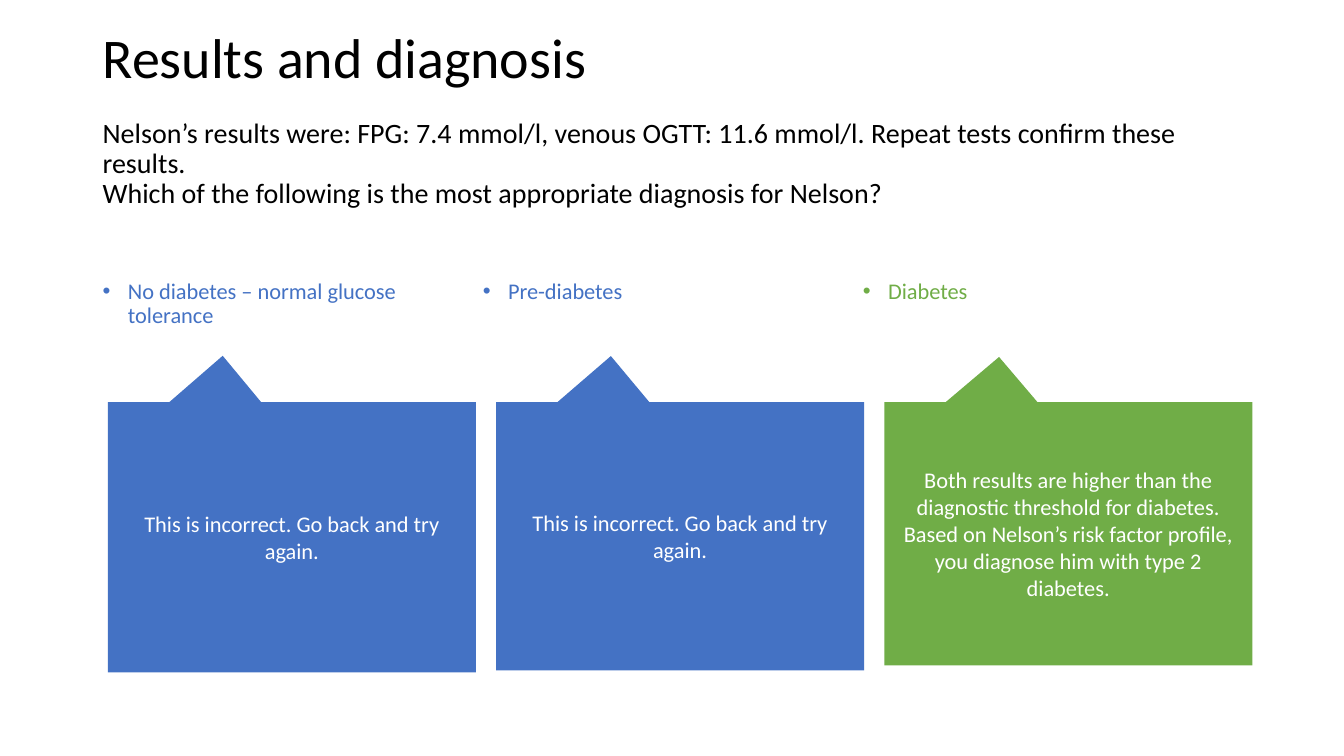
"""Build the quiz slide on Nelson's results and diagnosis."""
from pptx import Presentation
from pptx.dml.color import RGBColor
from pptx.enum.shapes import MSO_SHAPE as Shape
from pptx.enum.text import MSO_ANCHOR as Anchor, PP_ALIGN as Align
from pptx.oxml.ns import qn
from pptx.util import Inches, Pt
from lxml import etree

BLACK, WHITE, BLUE, GREEN = "000000", "FFFFFF", "4472C4", "70AD47"


def rgb(value):
    return RGBColor.from_string(value)


def write(shape, text, size, color, spacing=None, align=Align.LEFT):
    frame = shape.text_frame
    frame.word_wrap = True
    frame.text = text
    for paragraph in frame.paragraphs:
        paragraph.alignment = align
        paragraph.line_spacing = spacing
        for run in paragraph.runs:
            run.font.name = "Calibri"
            run.font.size = Pt(size)
            run.font.color.rgb = rgb(color)
    return frame


deck = Presentation()
deck.slide_width, deck.slide_height = Inches(13.33), Inches(7.5)
slide = deck.slides.add_slide(deck.slide_layouts[6])

title = slide.shapes.add_textbox(Inches(0.92), Inches(0.25), Inches(11.5), Inches(0.75))
write(title, "Results and diagnosis", 40, BLACK, 0.9)

question = slide.shapes.add_textbox(Inches(0.92), Inches(1.13), Inches(11.5), Inches(1.05))
write(question, "Nelson’s results were: FPG: 7.4 mmol/l, venous OGTT: 11.6 mmol/l. "
      "Repeat tests confirm these results.\n"
      "Which of the following is the most appropriate diagnosis for Nelson?", 20, BLACK, 0.9)

incorrect = "This is incorrect. Go back and try again."
correct = ("Both results are higher than the diagnostic threshold for diabetes. "
           "Based on Nelson’s risk factor profile, you diagnose him with type 2 diabetes.")
answers = [
    ("No diabetes – normal glucose tolerance", incorrect, BLUE, 2.68),
    ("Pre-diabetes", incorrect, BLUE, 2.66),
    ("Diabetes", correct, GREEN, 2.61),
]

for column, (diagnosis, feedback, color, height) in enumerate(answers):
    option = slide.shapes.add_textbox(
        Inches(0.92 + 3.77 * column), Inches(2.73), Inches(3.75), Inches(0.6))
    bullet = write(option, diagnosis, 16, color, 0.9).paragraphs[0]
    properties = bullet._p.get_or_add_pPr()
    properties.set("marL", str(Inches(0.25)))
    properties.set("indent", str(Inches(-0.25)))
    etree.SubElement(properties, qn("a:buFont")).set("typeface", "Arial")
    etree.SubElement(properties, qn("a:buChar")).set("char", "•")

    callout = slide.shapes.add_shape(
        Shape.RECTANGULAR_CALLOUT,
        Inches(1.07 + 3.85 * column), Inches(3.99), Inches(3.65), Inches(height))
    callout.adjustments[0], callout.adjustments[1] = -0.188, -0.672
    callout.shadow.inherit = False
    callout.fill.solid()
    callout.fill.fore_color.rgb = rgb(color)
    callout.line.fill.background()
    write(callout, feedback, 16, WHITE, align=Align.CENTER).vertical_anchor = Anchor.MIDDLE

deck.save("out.pptx")
